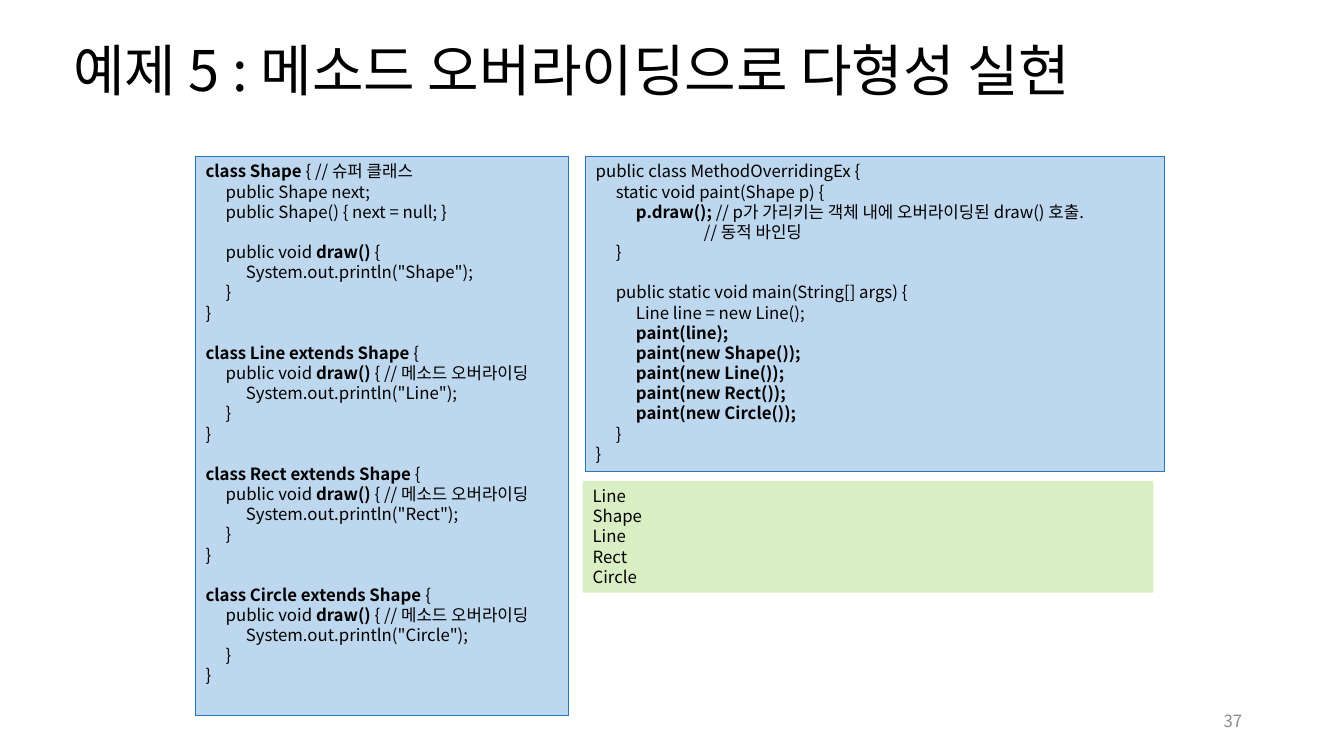
import dataclasses

import lxml.etree
import pptx
import pptx.dml.color
import pptx.enum.shapes
import pptx.enum.text
import pptx.oxml.ns
import pptx.util

RGB = pptx.dml.color.RGBColor
ALIGN = pptx.enum.text.PP_ALIGN
ANCHOR = pptx.enum.text.MSO_ANCHOR

BLACK = RGB(0x00, 0x00, 0x00)
GRAY = RGB(0x8C, 0x8C, 0x8C)
BLUE = RGB(0xBD, 0xD7, 0xEE)
EDGE = RGB(0x2E, 0x75, 0xB6)
GREEN = RGB(0xDA, 0xEE, 0xC4)

FONT = "Noto Sans CJK KR"
PX_PER_INCH = 100
TAB = 20
TAB_COUNT = 5
PITCH = pptx.util.Pt(14.4)

# Asterisks mark bold text; four leading spaces make one tab.
SHAPE_CODE = """*class Shape *{ // 슈퍼 클래스
    public Shape next;
    public Shape() { next = null; }

    public void *draw() *{
        System.out.println("Shape");
    }
}"""

SUB_CODE = """

*class NAME extends Shape *{
    public void *draw() *{ // 메소드 오버라이딩
        System.out.println("NAME");
    }
}"""

MAIN_CODE = """public class MethodOverridingEx {
    static void paint(Shape p) {
        *p.draw();* // p가 가리키는 객체 내에 오버라이딩된 draw() 호출.
                      // 동적 바인딩
    }

    public static void main(String[] args) {
        Line line = new Line();
        *paint(line);*
        *paint(new Shape());*
        *paint(new Line());*
        *paint(new Rect());*
        *paint(new Circle());*
    }
}"""

OUTPUT = "Line\nShape\nLine\nRect\nCircle"


@dataclasses.dataclass(frozen=True)
class Label:
    left: int
    top: int
    width: int
    height: int
    text: str
    size: int
    color: RGB
    align: ALIGN
    spacing: float


@dataclasses.dataclass(frozen=True)
class Panel:
    left: int
    top: int
    width: int
    height: int
    text: str
    fill: RGB
    edge: RGB | None = None


CLASSES = SHAPE_CODE + "".join(
    SUB_CODE.replace("NAME", name) for name in ("Line", "Rect", "Circle")
)

LABELS = [
    Label(63, 0, 1231, 145, "예제 5 : 메소드 오버라이딩으로 다형성 실현",
          40, BLACK, ALIGN.LEFT, 0.9),
    Label(942, 695, 300, 40, "37", 12, GRAY, ALIGN.RIGHT, 1.0),
]

PANELS = [
    Panel(194, 155, 370, 555, CLASSES, BLUE, EDGE),
    Panel(581, 155, 574, 313, MAIN_CODE, BLUE, EDGE),
    Panel(578, 477, 566, 111, OUTPUT, GREEN),
]


def px(count: int) -> int:
    return pptx.util.Emu(count * pptx.util.Inches(1) // PX_PER_INCH)


def style(run, size: int, color: RGB, bold: bool = False) -> None:
    """Set the face for both Latin and Korean letters."""
    run.font.size = pptx.util.Pt(size)
    run.font.bold = bold
    run.font.color.rgb = color
    run.font.name = FONT
    face = lxml.etree.SubElement(run.font._element, pptx.oxml.ns.qn("a:ea"))
    face.set("typeface", FONT)


def add_tabs(para) -> None:
    stops = lxml.etree.SubElement(
        para._p.get_or_add_pPr(), pptx.oxml.ns.qn("a:tabLst"))
    for step in range(1, TAB_COUNT + 1):
        stop = lxml.etree.SubElement(stops, pptx.oxml.ns.qn("a:tab"))
        stop.set("pos", str(px(step * TAB)))
        stop.set("algn", "l")


def write_code(frame, code: str) -> None:
    """Write one paragraph a line; a blank line becomes space before the next."""
    para = frame.paragraphs[0]
    gap = False
    for index, line in enumerate(code.split("\n")):
        if not line:
            gap = True
            continue
        if index:
            para = frame.add_paragraph()
        add_tabs(para)
        para.alignment = ALIGN.LEFT
        para.line_spacing = PITCH
        if gap:
            para.space_before = PITCH
            gap = False
        for place, part in enumerate(line.replace("    ", "\t").split("*")):
            if part:
                run = para.add_run()
                run.text = part
                style(run, 12, BLACK, bold=place % 2 == 1)


def draw_label(slide, label: Label) -> None:
    box = slide.shapes.add_textbox(
        px(label.left), px(label.top), px(label.width), px(label.height))
    frame = box.text_frame
    frame.word_wrap = True
    frame.vertical_anchor = ANCHOR.MIDDLE
    frame.text = label.text
    para = frame.paragraphs[0]
    para.alignment = label.align
    para.line_spacing = label.spacing
    style(para.runs[0], label.size, label.color)


def draw_panel(slide, panel: Panel) -> None:
    box = slide.shapes.add_shape(
        pptx.enum.shapes.MSO_SHAPE.RECTANGLE,
        px(panel.left), px(panel.top), px(panel.width), px(panel.height))
    box.shadow.inherit = False
    box.fill.solid()
    box.fill.fore_color.rgb = panel.fill
    if panel.edge is None:
        box.line.fill.background()
    else:
        box.line.color.rgb = panel.edge
        box.line.width = pptx.util.Pt(0.75)
    frame = box.text_frame
    frame.word_wrap = True
    frame.vertical_anchor = ANCHOR.TOP
    write_code(frame, panel.text)


def main() -> None:
    deck = pptx.Presentation()
    deck.slide_width = px(1333)
    deck.slide_height = px(750)
    slide = deck.slides.add_slide(deck.slide_layouts[6])
    for label in LABELS:
        draw_label(slide, label)
    for panel in PANELS:
        draw_panel(slide, panel)
    deck.save("out.pptx")


if __name__ == "__main__":
    main()
